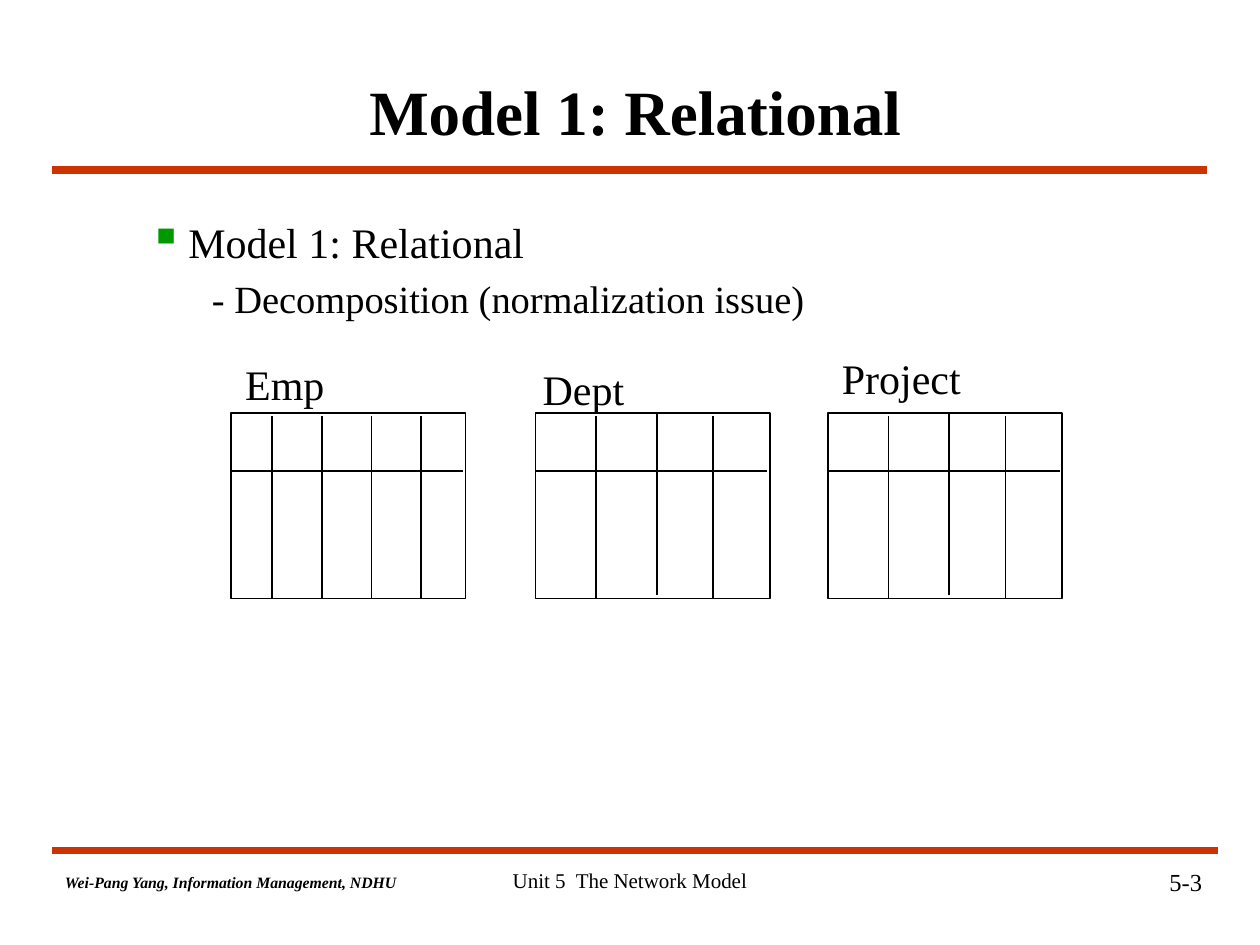
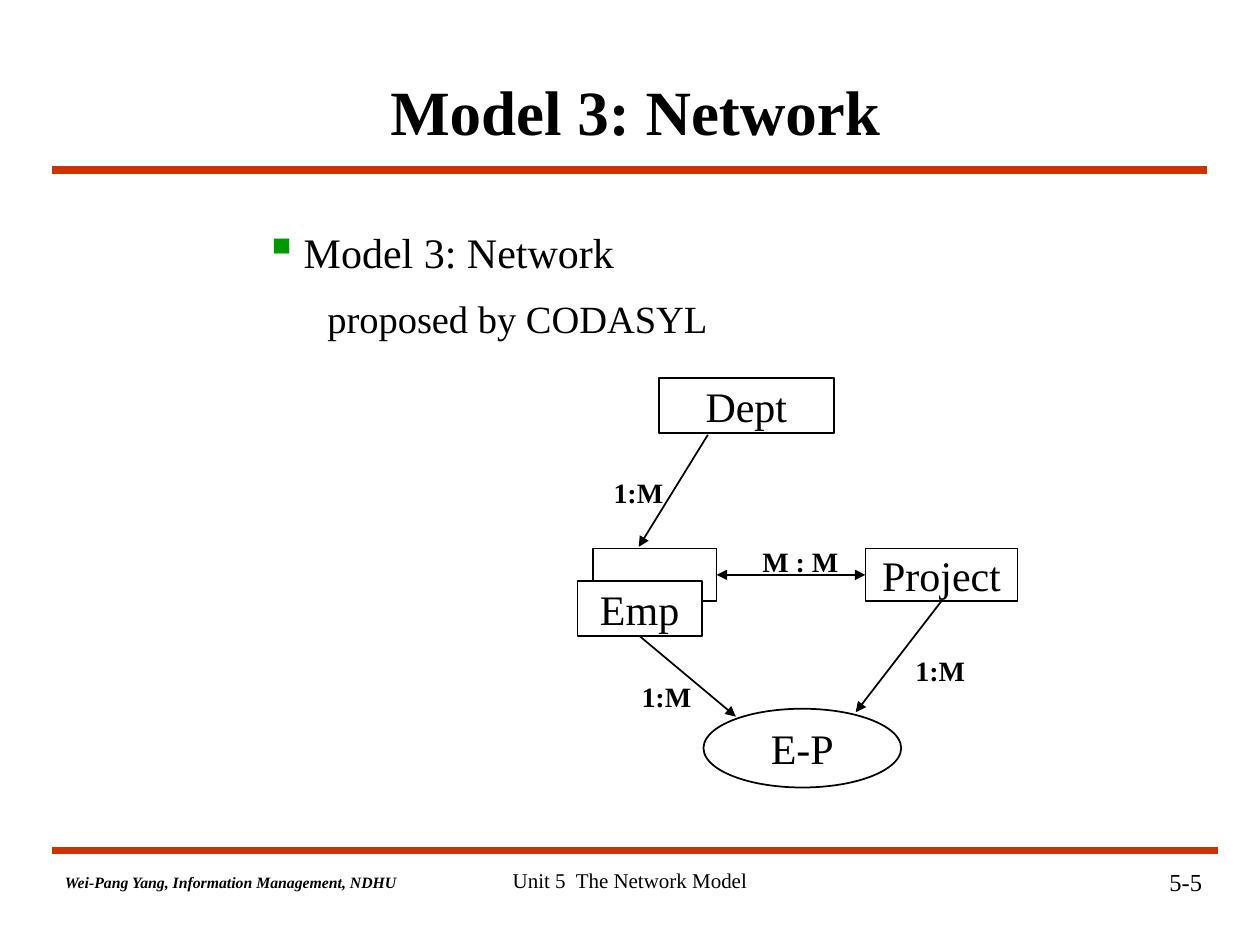
"""Build two slides comparing the relational and network data models."""
from lxml import etree
from pptx import Presentation
from pptx import util as u
from pptx.dml.color import RGBColor
from pptx.enum import shapes, text
from pptx.oxml import ns

COLORS = {"ink": "000000", "paper": "FFFFFF", "band": "CC3300", "bullet": "009900"}
ALIGN = text.PP_ALIGN
TITLE = {"size": u.Pt(36), "bold": True}
LABEL = {"size": u.Pt(24)}
RATIO = {"size": u.Pt(16), "bold": True}


def write(shape, words, font, align=ALIGN.LEFT, anchor=text.MSO_ANCHOR.TOP, wrap=True):
    """Fill a shape with one formatted paragraph."""
    frame = shape.text_frame
    frame.word_wrap = wrap
    frame.vertical_anchor = anchor
    paragraph = frame.paragraphs[0] if not frame.text else frame.add_paragraph()
    paragraph.text = words
    paragraph.alignment = align
    for name, value in {"name": "Times New Roman", **font}.items():
        setattr(paragraph.font, name, value)
    paragraph.font.color.rgb = RGBColor.from_string(COLORS["ink"])
    return paragraph


def add_line(slide, start, end, color="ink", width=1, arrows=()):
    """Draw a straight line, with arrowheads at the named ends."""
    line = slide.shapes.add_connector(
        shapes.MSO_CONNECTOR.STRAIGHT, *(u.Pt(value) for value in (*start, *end)))
    line.line.color.rgb = RGBColor.from_string(COLORS[color])
    line.line.width = u.Pt(width)
    outline = line.line._get_or_add_ln()
    for arrow in arrows:
        etree.SubElement(outline, ns.qn(f"a:{arrow}"), type="triangle")
    etree.SubElement(line._element.spPr, ns.qn("a:effectLst"))
    return line


presentation = Presentation()
presentation.slide_width, presentation.slide_height = u.Pt(720), u.Pt(540)

pages = [
    ("Model 1: Relational", "- Decomposition (normalization issue)", "5-3", (42, 120, 660, 366), 1),
    ("Model 3: Network", "proposed by CODASYL", "5-5", (108, 120, 540, 340), 1.2),
]
for title, detail, number, body_box, spacing in pages:
    slide = presentation.slides.add_slide(presentation.slide_layouts[6])
    add_line(slide, (30, 97), (690, 97), "band", 4.5)
    add_line(slide, (30, 486), (696, 486), "band", 4.5)
    for box, words, font, align, anchor in [
        ((544, 492, 150, 36), number, {"size": u.Pt(14)}, ALIGN.RIGHT, text.MSO_ANCHOR.TOP),
        ((30, 495, 233, 18), "Wei-Pang Yang, Information Management, NDHU",
         {"size": u.Pt(9), "bold": True, "italic": True}, ALIGN.LEFT, text.MSO_ANCHOR.TOP),
        ((246, 492, 228, 36), "Unit 5  The Network Model", {"size": u.Pt(12)}, ALIGN.CENTER,
         text.MSO_ANCHOR.TOP),
        ((66, 30, 594, 66), title, TITLE, ALIGN.CENTER, text.MSO_ANCHOR.MIDDLE),
    ]:
        write(slide.shapes.add_textbox(*map(u.Pt, box)), words, font, align, anchor)

    body = slide.shapes.add_textbox(*map(u.Pt, body_box))
    for words, size, margin, indent, before in [(title, 24, 58.5, -22.5, 0), (detail, 22, 90, -18, 5)]:
        paragraph = write(body, words, {"size": u.Pt(size)})
        paragraph.line_spacing = spacing
        paragraph.space_before = u.Pt(before)
        properties = paragraph._p.get_or_add_pPr()
        properties.set("marL", str(u.Pt(margin)))
        properties.set("indent", str(u.Pt(indent)))
        if words == title:
            bullet_color = etree.SubElement(properties, ns.qn("a:buClr"))
            etree.SubElement(bullet_color, ns.qn("a:srgbClr"), val=COLORS["bullet"])
            etree.SubElement(properties, ns.qn("a:buSzPct"), val="110000")
            etree.SubElement(properties, ns.qn("a:buChar"), char="▪")

relational, network = presentation.slides

grid_top, grid_width, grid_height = 236, 134, 106
grids = [
    ("Emp", 132, (133, 201.5, 112, 36), [(23.5 + 28.4 * column, 2) for column in range(4)]),
    ("Dept", 306, (303, 204, 136, 36), [(34.7, 2), (69.4, 0), (101.6, 2)]),
    ("Project", 473, (474, 198, 144, 36), [(34.7, 2), (69.4, 0), (101.6, 2)]),
]
for name, left, label_box, dividers in grids:
    frame = relational.shapes.add_shape(
        shapes.MSO_SHAPE.RECTANGLE, *map(u.Pt, (left, grid_top, grid_width, grid_height)))
    frame.shadow.inherit = False
    frame.fill.solid()
    frame.fill.fore_color.rgb = RGBColor.from_string(COLORS["paper"])
    frame.line.color.rgb = RGBColor.from_string(COLORS["ink"])
    frame.line.width = u.Pt(1)
    add_line(relational, (left, grid_top + 33), (left + grid_width - 1.5, grid_top + 33))
    for offset, drop in dividers:
        start = grid_top + drop
        add_line(relational, (left + offset, start), (left + offset, start + grid_height - 2))
    write(relational.shapes.add_textbox(*map(u.Pt, label_box)), name, LABEL)

nodes = {}
for key, words, kind, box in [
    ("dept", "Dept", "RECTANGLE", (376.5, 216, 100, 31.5)),
    ("emp back", "", "RECTANGLE", (339, 313.5, 70.5, 30)),
    ("project", "Project", "RECTANGLE", (494.5, 313.5, 87, 30)),
    ("emp", "Emp", "RECTANGLE", (330, 332, 71, 31.5)),
    ("e-p", "E-P", "OVAL", (402, 405, 113, 45)),
]:
    node = network.shapes.add_shape(getattr(shapes.MSO_SHAPE, kind), *map(u.Pt, box))
    node.shadow.inherit = False
    node.fill.solid()
    node.fill.fore_color.rgb = RGBColor.from_string(COLORS["paper"])
    node.line.color.rgb = RGBColor.from_string(COLORS["ink"])
    node.line.width = u.Pt(1)
    if words:
        write(node, words, LABEL, ALIGN.CENTER, text.MSO_ANCHOR.MIDDLE, wrap=False)
    nodes[key] = node

add_line(network, (404.5, 248.5), (365, 312.5), arrows=["tailEnd"])
both_ways = add_line(network, (409.5, 328.5), (494.5, 328.5), arrows=["headEnd", "tailEnd"])
both_ways.begin_connect(nodes["emp back"], 3)
both_ways.end_connect(nodes["project"], 1)
emp_link = add_line(network, (365.5, 363.5), (420.5, 409.5), arrows=["tailEnd"])
emp_link.begin_connect(nodes["emp"], 2)
project_link = add_line(network, (538, 343.5), (489, 407), arrows=["tailEnd"])
project_link.begin_connect(nodes["project"], 2)

for words, left, top, width in [
    ("1:M", 343.5, 268, 51), ("M : M", 428.5, 307.5, 62), ("1:M", 359.5, 384.5, 51), ("1:M", 516, 370, 51),
]:
    write(network.shapes.add_textbox(*map(u.Pt, (left, top, width, 26))), words, RATIO)

presentation.save("out.pptx")
